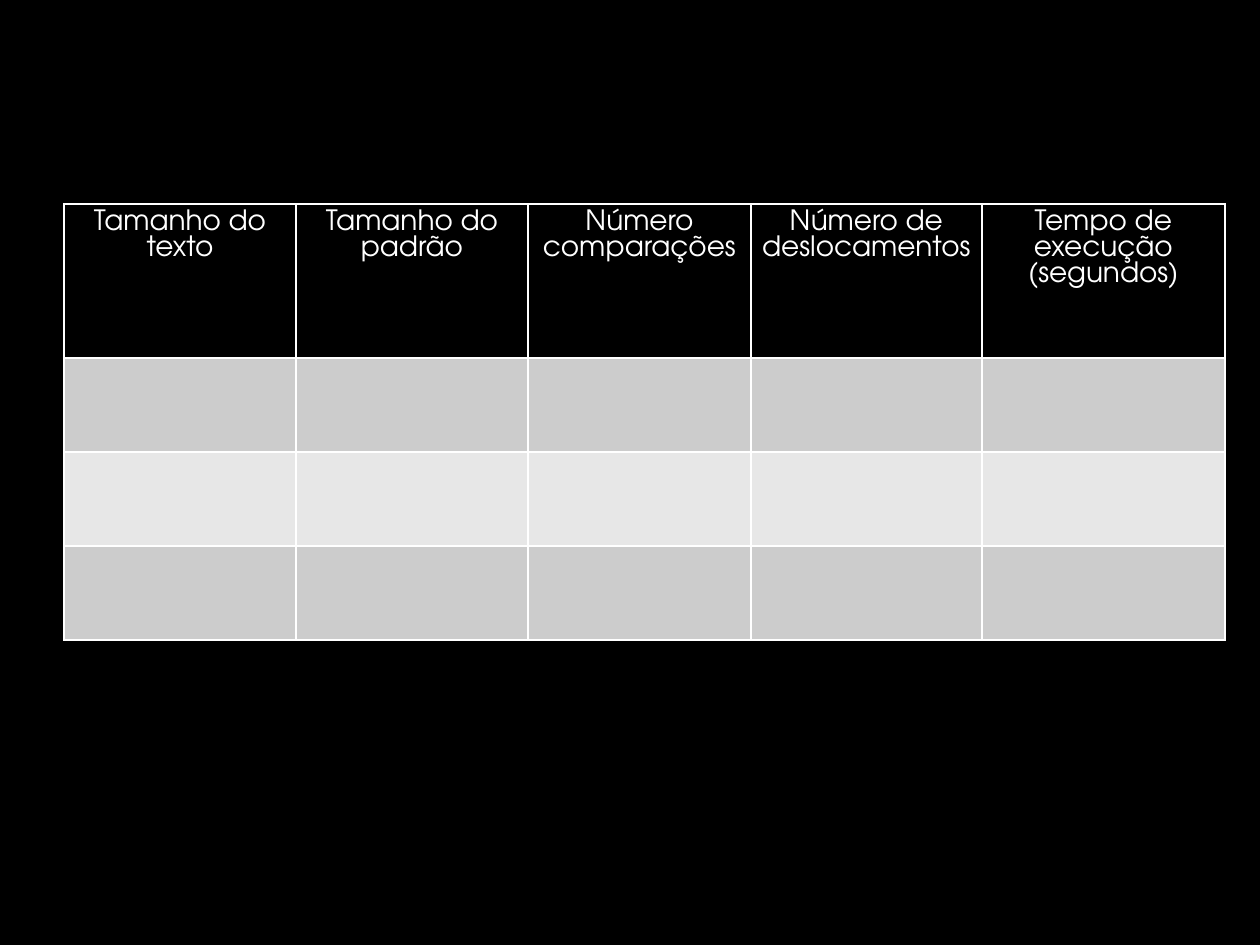
import pptx
import pptx.dml.color
import pptx.enum.text
import pptx.oxml
import pptx.oxml.ns
import pptx.util

BLACK = pptx.dml.color.RGBColor(0x00, 0x00, 0x00)
WHITE = pptx.dml.color.RGBColor(0xFF, 0xFF, 0xFF)
GRAY = pptx.dml.color.RGBColor(0xCC, 0xCC, 0xCC)
LIGHT_GRAY = pptx.dml.color.RGBColor(0xE7, 0xE7, 0xE7)

PX = pptx.util.Inches(1) / 126
HEADERS = [
    "Tamanho do texto",
    "Tamanho do padrão",
    "Número comparações",
    "Número de deslocamentos",
    "Tempo de execução\n(segundos)",
]
COL_WIDTHS = [232, 232, 223, 231, 243]
ROW_HEIGHTS = [154, 94, 94, 94]
ROW_FILLS = [BLACK, GRAY, LIGHT_GRAY, GRAY]


def emu(px):
    return pptx.util.Emu(round(px * PX))


class SlideBuilder:
    font = "TeX Gyre Adventor"
    size = pptx.util.Pt(16)
    border = pptx.util.Pt(1)

    def __init__(self, slide):
        self.slide = slide

    def background(self, color):
        fill = self.slide.background.fill
        fill.solid()
        fill.fore_color.rgb = color

    def borders(self, cell, color):
        tc_pr = cell._tc.get_or_add_tcPr()
        for i, side in enumerate(("lnL", "lnR", "lnT", "lnB")):
            tc_pr.insert(i, pptx.oxml.parse_xml(
                f'<a:{side} {pptx.oxml.ns.nsdecls("a")} w="{self.border}">'
                f'<a:solidFill><a:srgbClr val="{color}"/></a:solidFill></a:{side}>'))

    def cell(self, cell, text, fill):
        cell.fill.solid()
        cell.fill.fore_color.rgb = fill
        self.borders(cell, WHITE)
        cell.margin_left = cell.margin_right = pptx.util.Inches(0.07)
        cell.margin_top = cell.margin_bottom = pptx.util.Inches(0.05)
        cell.text_frame.text = text
        for p in cell.text_frame.paragraphs:
            p.alignment = pptx.enum.text.PP_ALIGN.CENTER
            p.font.name = self.font
            p.font.size = self.size
            p.font.bold = False
            p.font.color.rgb = WHITE

    def table(self, left, top, widths, heights, headers, fills):
        table = self.slide.shapes.add_table(
            len(heights), len(widths), emu(left), emu(top),
            emu(sum(widths)), emu(sum(heights))).table
        for col, width in zip(table.columns, widths):
            col.width = emu(width)
        for r, (row, height, fill) in enumerate(zip(table.rows, heights, fills)):
            row.height = emu(height)
            for cell, header in zip(row.cells, headers):
                self.cell(cell, header if r == 0 else "", fill)


def main():
    prs = pptx.Presentation()
    prs.slide_width, prs.slide_height = emu(1260), emu(945)
    builder = SlideBuilder(prs.slides.add_slide(prs.slide_layouts[6]))
    builder.background(BLACK)
    builder.table(64, 204, COL_WIDTHS, ROW_HEIGHTS, HEADERS, ROW_FILLS)
    prs.save("out.pptx")


if __name__ == "__main__":
    main()
